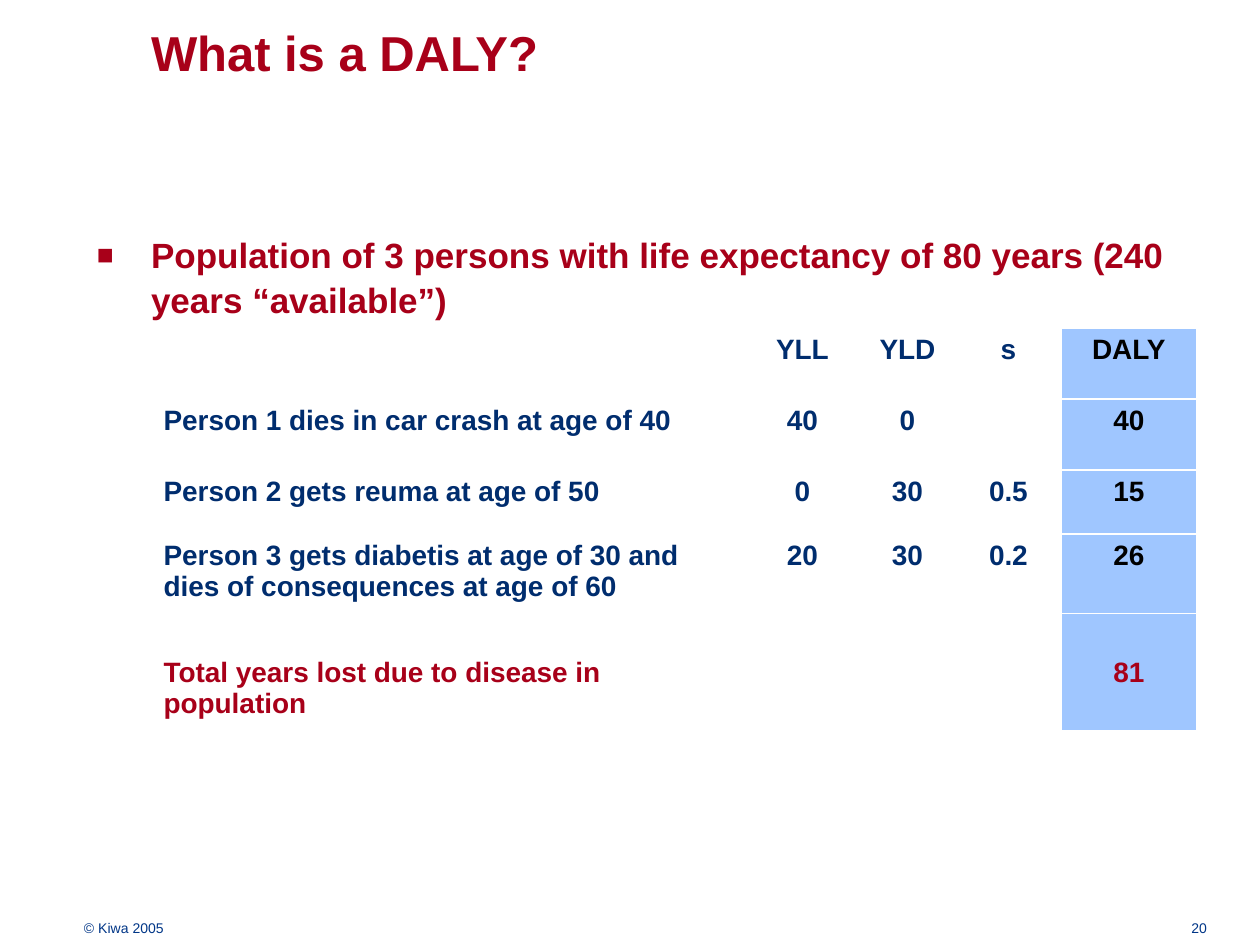
from lxml.etree import SubElement
from pptx import Presentation
from pptx.dml.color import RGBColor
from pptx.enum.text import MSO_ANCHOR, PP_ALIGN
from pptx.oxml.ns import qn
from pptx.util import Emu, Pt

COLORS = {"red": "A80019", "navy": "002D6E", "blue": "003687",
          "black": "000000", "highlight": "9FC6FF"}
FONT = "Arial"

TITLE = "What is a DALY?"
BULLET = "Population of 3 persons with life expectancy of 80 years (240 years “available”)"
ROWS = [
    ("", "YLL", "YLD", "s", "DALY"),
    ("Person 1 dies in car crash at age of 40", "40", "0", "", "40"),
    ("Person 2 gets reuma at age of 50", "0", "30", "0.5", "15"),
    ("Person 3 gets diabetis at age of 30 and dies of consequences at age of 60",
     "20", "30", "0.2", "26"),
    ("Total years lost due to disease in population", "", "", "", "81"),
]
COL_WIDTHS = [595, 113, 97, 105, 136]
ROW_HEIGHTS = [71, 71, 64, 75, 113]
CELL_TOP, TOTAL_TOP = 6, 44
FOOTERS = [("© Kiwa 2005", (84, 920, 400, 21), PP_ALIGN.LEFT),
           ("20", (1144, 920, 63, 21), PP_ALIGN.RIGHT)]


def px(n):
    return Emu(round(n * 914400 / 126))


def write(tf, text, size, color, bold=True, align=PP_ALIGN.LEFT, spacing=1.0, bullet=None):
    tf.word_wrap = True
    p = tf.paragraphs[0]
    p.alignment = align
    p.line_spacing = spacing
    if bullet:
        add_bullet(p, bullet, color)
    r = p.add_run()
    r.text = text
    r.font.name = FONT
    r.font.size = Pt(size)
    r.font.bold = bold
    r.font.color.rgb = RGBColor.from_string(COLORS[color])


def add_bullet(p, char, color, indent=54):
    p_pr = p._p.get_or_add_pPr()
    p_pr.set("marL", str(px(indent)))
    p_pr.set("indent", str(-px(indent)))
    bu_color = SubElement(p_pr, qn("a:buClr"))
    SubElement(bu_color, qn("a:srgbClr"), val=COLORS[color])
    SubElement(p_pr, qn("a:buSzPct"), val="80000")
    SubElement(p_pr, qn("a:buFont"), typeface=FONT)
    SubElement(p_pr, qn("a:buChar"), char=char)


def place(s, box):
    """Set the position of a text shape and clear its insets."""
    s.left, s.top, s.width, s.height = map(px, box)
    tf = s.text_frame
    tf.margin_left = tf.margin_top = tf.margin_right = tf.margin_bottom = 0
    tf.vertical_anchor = MSO_ANCHOR.TOP
    return tf


def add_text(slide, box, text, **fmt):
    write(place(slide.shapes.add_textbox(0, 0, 0, 0), box), text, **fmt)


def add_daly_table(slide):
    frame = slide.shapes.add_table(len(ROWS), len(COL_WIDTHS), px(151), px(328),
                                   px(sum(COL_WIDTHS)), px(sum(ROW_HEIGHTS)))
    table = frame.table
    table.first_row = table.horz_banding = False
    for col, width in zip(table.columns, COL_WIDTHS):
        col.width = px(width)
    for row, height in zip(table.rows, ROW_HEIGHTS):
        row.height = px(height)
    last_row, last_col = len(ROWS) - 1, len(COL_WIDTHS) - 1
    for i, values in enumerate(ROWS):
        for j, value in enumerate(values):
            cell = table.cell(i, j)
            cell.margin_top = px(TOTAL_TOP if i == last_row else CELL_TOP)
            if j == last_col:
                cell.fill.solid()
                cell.fill.fore_color.rgb = RGBColor.from_string(COLORS["highlight"])
            else:
                cell.fill.background()
            color = "red" if i == last_row else "black" if j == last_col else "navy"
            if value:
                write(cell.text_frame, value, 16, color,
                      align=PP_ALIGN.CENTER if j else PP_ALIGN.LEFT)


def main():
    prs = Presentation()
    prs.slide_width, prs.slide_height = px(1260), px(945)
    slide = prs.slides.add_slide(prs.slide_layouts[5])
    write(place(slide.shapes.title, (151, 29, 1087, 126)), TITLE, 28, "red", spacing=0.9)
    add_text(slide, (97, 231, 1142, 90), BULLET, size=20, color="red",
             spacing=1.07, bullet="■")
    add_daly_table(slide)
    for text, box, align in FOOTERS:
        add_text(slide, box, text, size=8, color="blue", bold=False, align=align)
    prs.save("out.pptx")


if __name__ == "__main__":
    main()
